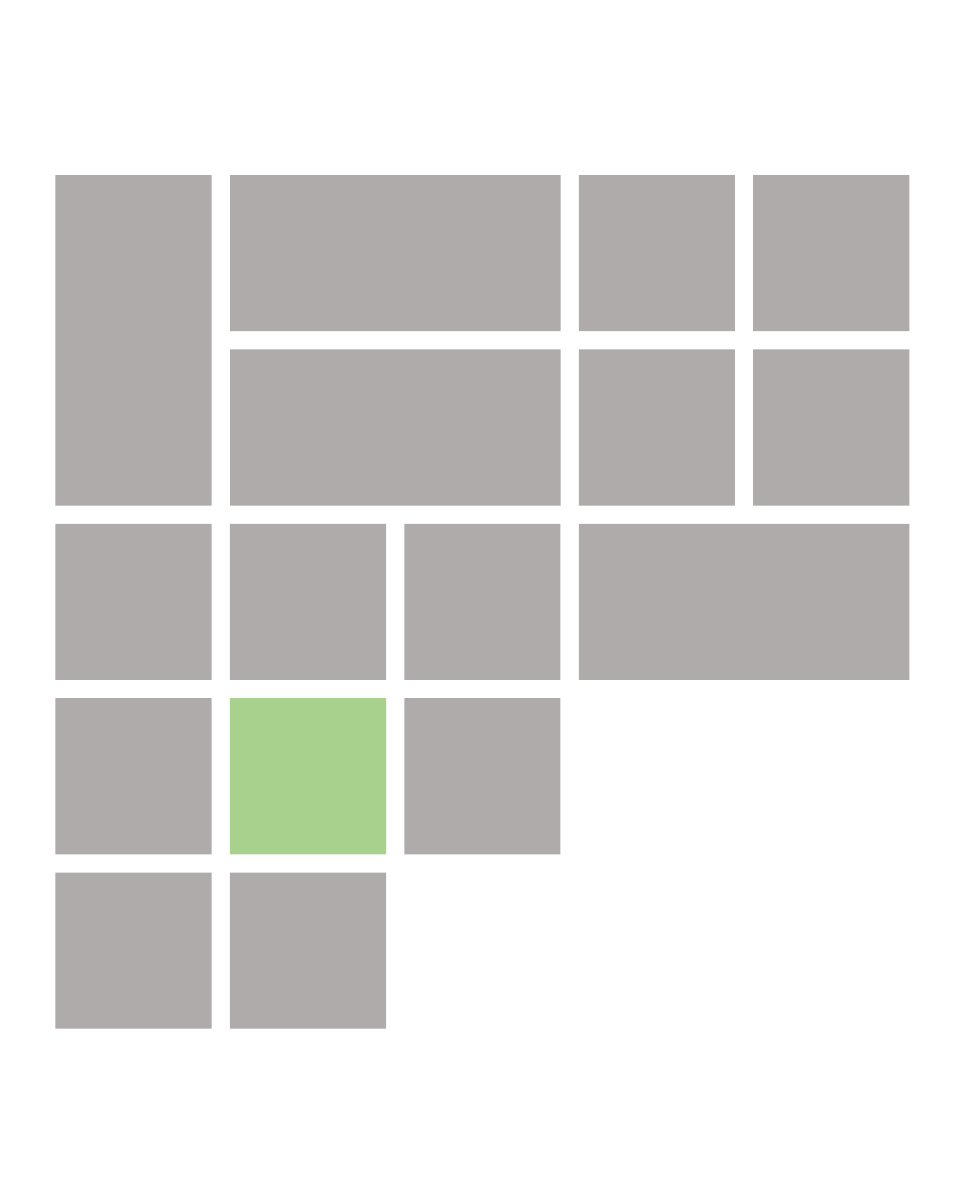
from dataclasses import dataclass

from pptx import Presentation
from pptx.dml.color import RGBColor
from pptx.enum.shapes import MSO_SHAPE as SHAPE

PX = 4572  # EMU; 200 px to the inch
SLIDE_W, SLIDE_H = 1112, 1388
TILE, GAP = 180, 21


@dataclass(frozen=True)
class Theme:
    tile: RGBColor = RGBColor(0xAF, 0xAB, 0xAB)
    highlight: RGBColor = RGBColor(0xA9, 0xD1, 0x8E)


THEME = Theme()

# Each letter is one tile; a repeated letter spans cells, "*" is highlighted.
MOSAIC = (
    "ABBCD",
    "AEEFG",
    "HIJKK",
    "L*M..",
    "NO...",
)


def tile_spans(mosaic):
    """Map each tile key to its column, row, column span and row span."""
    cells = {}
    for row, line in enumerate(mosaic):
        for col, key in enumerate(line):
            if key != ".":
                cells.setdefault(key, []).append((col, row))
    return {
        key: (*spots[0],
              spots[-1][0] - spots[0][0] + 1,
              spots[-1][1] - spots[0][1] + 1)
        for key, spots in cells.items()
    }


def extent(span):
    return span * TILE + (span - 1) * GAP


def add_tile(slide, x, y, w, h, color):
    sp = slide.shapes.add_shape(SHAPE.RECTANGLE, x * PX, y * PX, w * PX, h * PX)
    sp.shadow.inherit = False
    sp.fill.solid()
    sp.fill.fore_color.rgb = color
    sp.line.fill.background()


def add_mosaic(slide, left, top):
    pitch = TILE + GAP
    for key, (col, row, cols, rows) in tile_spans(MOSAIC).items():
        color = THEME.highlight if key == "*" else THEME.tile
        add_tile(slide, left + col * pitch, top + row * pitch,
                 extent(cols), extent(rows), color)


def main():
    prs = Presentation()
    prs.slide_width, prs.slide_height = SLIDE_W * PX, SLIDE_H * PX
    slide = prs.slides.add_slide(prs.slide_layouts.get_by_name("Blank"))
    add_mosaic(slide, left=64, top=202)
    prs.save("out.pptx")


if __name__ == "__main__":
    main()
